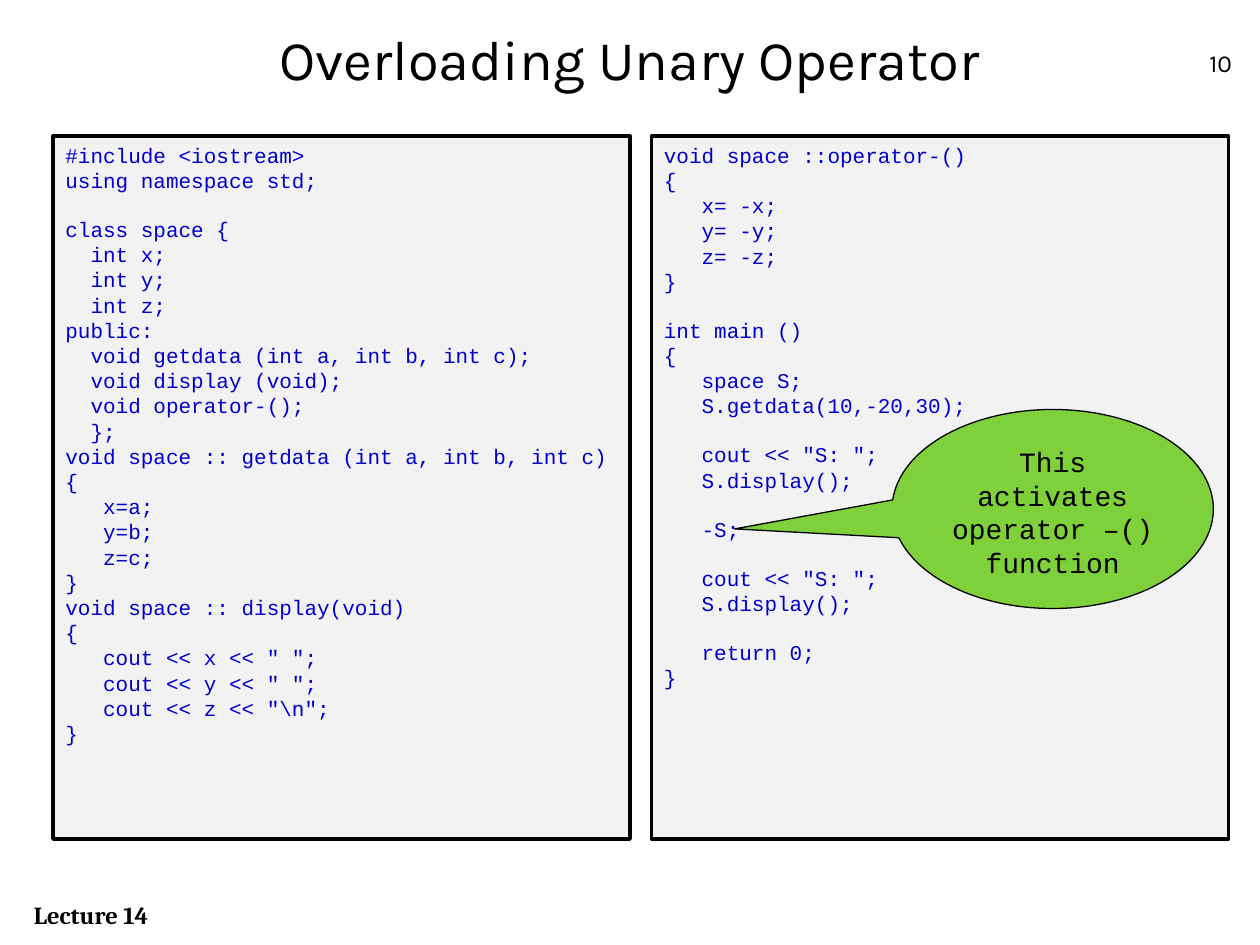
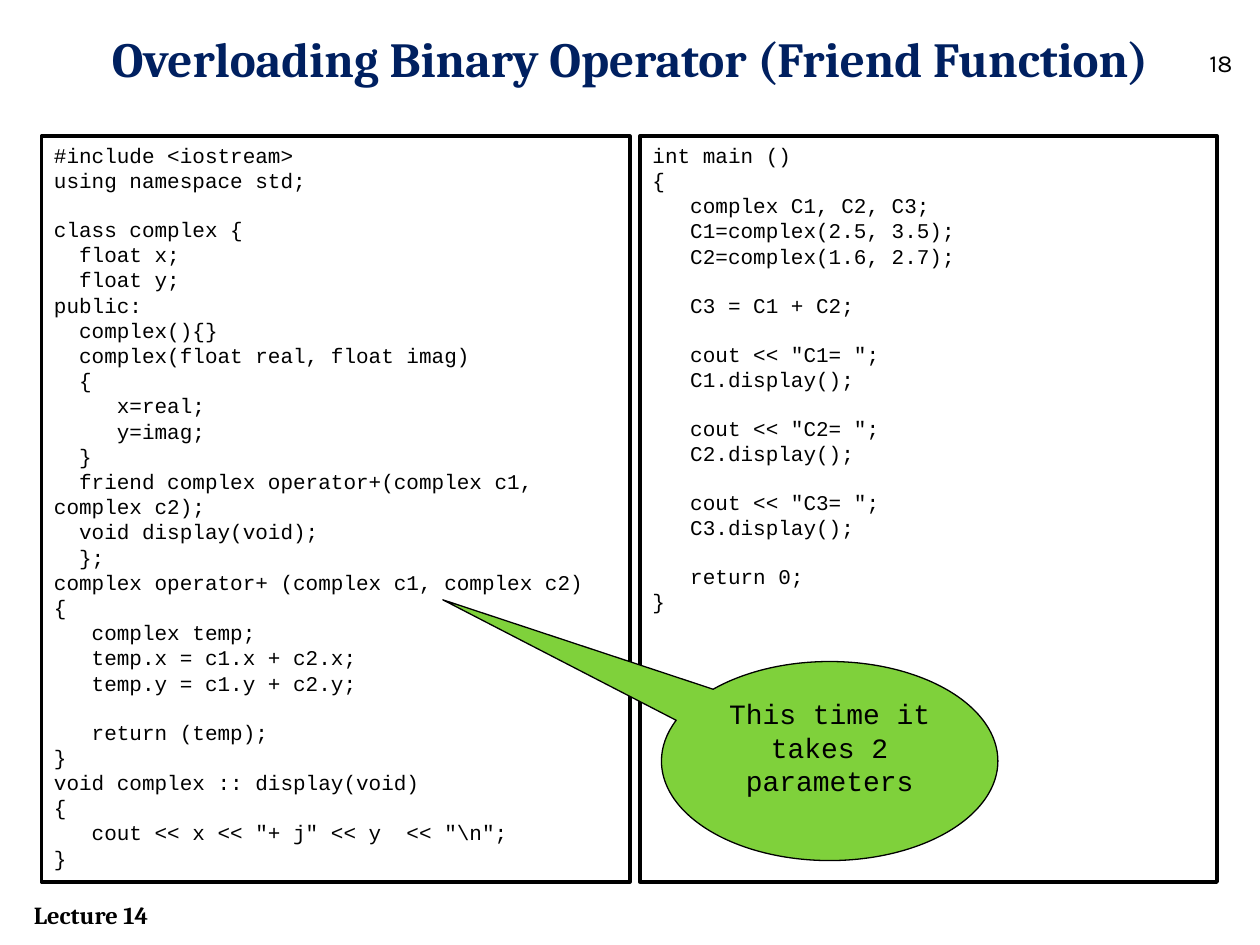
from dataclasses import dataclass

from pptx import Presentation
from pptx.dml.color import RGBColor
from pptx.enum.shapes import MSO_SHAPE as SHAPE
from pptx.enum.text import MSO_ANCHOR as ANCHOR, PP_ALIGN as ALIGN
from pptx.util import Inches, Pt

COLORS = {
    "black": "000000",
    "white": "FFFFFF",
    "panel": "F2F2F2",
    "code": "0000CC",
    "navy": "002060",
    "callout": "7FD13B",
}
CODE_FONT = {"name": "Courier New", "size": Pt(12)}
CALLOUT_FONT = {"name": "Courier New", "size": Pt(16)}
FOOTER_FONT = {"name": "Cambria", "size": Pt(14), "bold": True}
NUMBER_FONT = {"name": "Karla", "size": Pt(14)}
CODE_LINE = Pt(13.6)
PANEL_TOP = 1.08
CALLOUT_HEIGHT = 1.58


@dataclass
class Panel:
    left: float
    width: float
    code: str


@dataclass
class Callout:
    left: float
    top: float
    width: float
    tip: tuple[float, float]
    text: str


@dataclass
class CodeSlide:
    title: str
    title_font: dict
    title_color: str
    number: str
    panel_height: float
    panel_fill: str
    code_color: str
    panels: list[Panel]
    callout: Callout


UNARY_CLASS = r'''
#include <iostream>
using namespace std;

class space {
  int x;
  int y;
  int z;
public:
  void getdata (int a, int b, int c);
  void display (void);
  void operator-();
  };
void space :: getdata (int a, int b, int c)
{
   x=a;
   y=b;
   z=c;
}
void space :: display(void)
{
   cout << x << " ";
   cout << y << " ";
   cout << z << "\n";
}
'''

UNARY_MAIN = r'''
void space ::operator-()
{
   x= -x;
   y= -y;
   z= -z;
}

int main ()
{
   space S;
   S.getdata(10,-20,30);

   cout << "S: ";
   S.display();

   -S;

   cout << "S: ";
   S.display();

   return 0;
}
'''

BINARY_CLASS = r'''
#include <iostream>
using namespace std;

class complex {
  float x;
  float y;
public:
  complex(){}
  complex(float real, float imag)
  {
     x=real;
     y=imag;
  }
  friend complex operator+(complex c1, complex c2);
  void display(void);
  };
complex operator+ (complex c1, complex c2)
{
   complex temp;
   temp.x = c1.x + c2.x;
   temp.y = c1.y + c2.y;

   return (temp);
}
void complex :: display(void)
{
   cout << x << "+ j" << y  << "\n";
}
'''

BINARY_MAIN = r'''
int main ()
{
   complex C1, C2, C3;
   C1=complex(2.5, 3.5);
   C2=complex(1.6, 2.7);

   C3 = C1 + C2;

   cout << "C1= ";
   C1.display();

   cout << "C2= ";
   C2.display();

   cout << "C3= ";
   C3.display();

   return 0;
}
'''

SLIDES = [
    CodeSlide(
        "Overloading Unary Operator",
        {"name": "Karla", "size": Pt(32)}, "black", "10",
        5.58, "panel", "code",
        [Panel(0.42, 4.58, UNARY_CLASS), Panel(5.17, 4.58, UNARY_MAIN)],
        Callout(7.08, 3.25, 2.55, (-0.99, 0.1),
                "This activates operator –() function"),
    ),
    CodeSlide(
        "Overloading Binary Operator (Friend Function)",
        {"name": "Cambria", "size": Pt(28), "bold": True}, "navy", "18",
        5.92, "white", "black",
        [Panel(0.33, 4.67, BINARY_CLASS), Panel(5.08, 4.58, BINARY_MAIN)],
        Callout(5.25, 5.25, 2.67, (-1.15, -0.81),
                "This time it takes 2 parameters"),
    ),
]


def rgb(name: str) -> RGBColor:
    return RGBColor.from_string(COLORS[name])


def place(sp, left: float, top: float, width: float, height: float) -> None:
    box = {"left": left, "top": top, "width": width, "height": height}
    for key, value in box.items():
        setattr(sp, key, Inches(value))


def write(p, text: str, font: dict, color: str, align=ALIGN.LEFT) -> None:
    p.alignment = align
    r = p.add_run()
    r.text = text
    for key, value in font.items():
        setattr(r.font, key, value)
    r.font.color.rgb = rgb(color)


def add_label(slide, box: tuple, text: str, font: dict):
    sp = slide.shapes.add_textbox(*map(Inches, box))
    sp.text_frame.word_wrap = True
    write(sp.text_frame.paragraphs[0], text, font, "black")
    return sp


def add_box(slide, kind, box: tuple, fill: str, line_width: float):
    sp = slide.shapes.add_shape(kind, *map(Inches, box))
    sp.shadow.inherit = False
    sp.fill.solid()
    sp.fill.fore_color.rgb = rgb(fill)
    sp.line.color.rgb = rgb("black")
    sp.line.width = Pt(line_width)
    tf = sp.text_frame
    tf.word_wrap = True
    tf.vertical_anchor = ANCHOR.TOP
    return sp


def add_code(slide, spec_slide: CodeSlide, panel: Panel) -> None:
    box = (panel.left, PANEL_TOP, panel.width, spec_slide.panel_height)
    tf = add_box(slide, SHAPE.RECTANGLE, box, spec_slide.panel_fill, 2).text_frame
    p, gap = tf.paragraphs[0], False
    for number, line in enumerate(panel.code.strip("\n").split("\n")):
        if not line:
            gap = True
            continue
        if number:
            p = tf.add_paragraph()
        if gap:
            p.space_before = CODE_LINE
        write(p, line, CODE_FONT, spec_slide.code_color)
        gap = False


def add_callout(slide, callout: Callout) -> None:
    box = (callout.left, callout.top, callout.width, CALLOUT_HEIGHT)
    sp = add_box(slide, SHAPE.OVAL_CALLOUT, box, "callout", 0.75)
    for index, value in enumerate(callout.tip):
        sp.adjustments[index] = value
    write(sp.text_frame.paragraphs[0], callout.text, CALLOUT_FONT, "black", ALIGN.CENTER)


def add_shared_footer(slide) -> None:
    sp = add_label(slide, (0.17, 7.09, 2, 0.34), "Lecture 14", FOOTER_FONT)
    sp.element.nvSpPr.cNvPr.set("id", "20")
    slide.slide_layout.shapes.element.append(sp.element)


def build_slide(slide, content: CodeSlide) -> None:
    title = slide.shapes.title
    place(title, 0.5, 0.17, 9, 0.58)
    title.text_frame.vertical_anchor = ANCHOR.MIDDLE
    write(title.text_frame.paragraphs[0], content.title, content.title_font,
          content.title_color, ALIGN.CENTER)
    for panel in content.panels:
        add_code(slide, content, panel)
    add_callout(slide, content.callout)
    add_label(slide, (9.5, 0.33, 0.42, 0.4), content.number, NUMBER_FONT)


def main() -> None:
    prs = Presentation()
    prs.slide_width, prs.slide_height = Inches(10), Inches(7.5)
    layout = prs.slide_layouts[5]
    for index, content in enumerate(SLIDES):
        slide = prs.slides.add_slide(layout)
        if index == 0:
            add_shared_footer(slide)
        build_slide(slide, content)
    prs.save("out.pptx")


if __name__ == "__main__":
    main()
